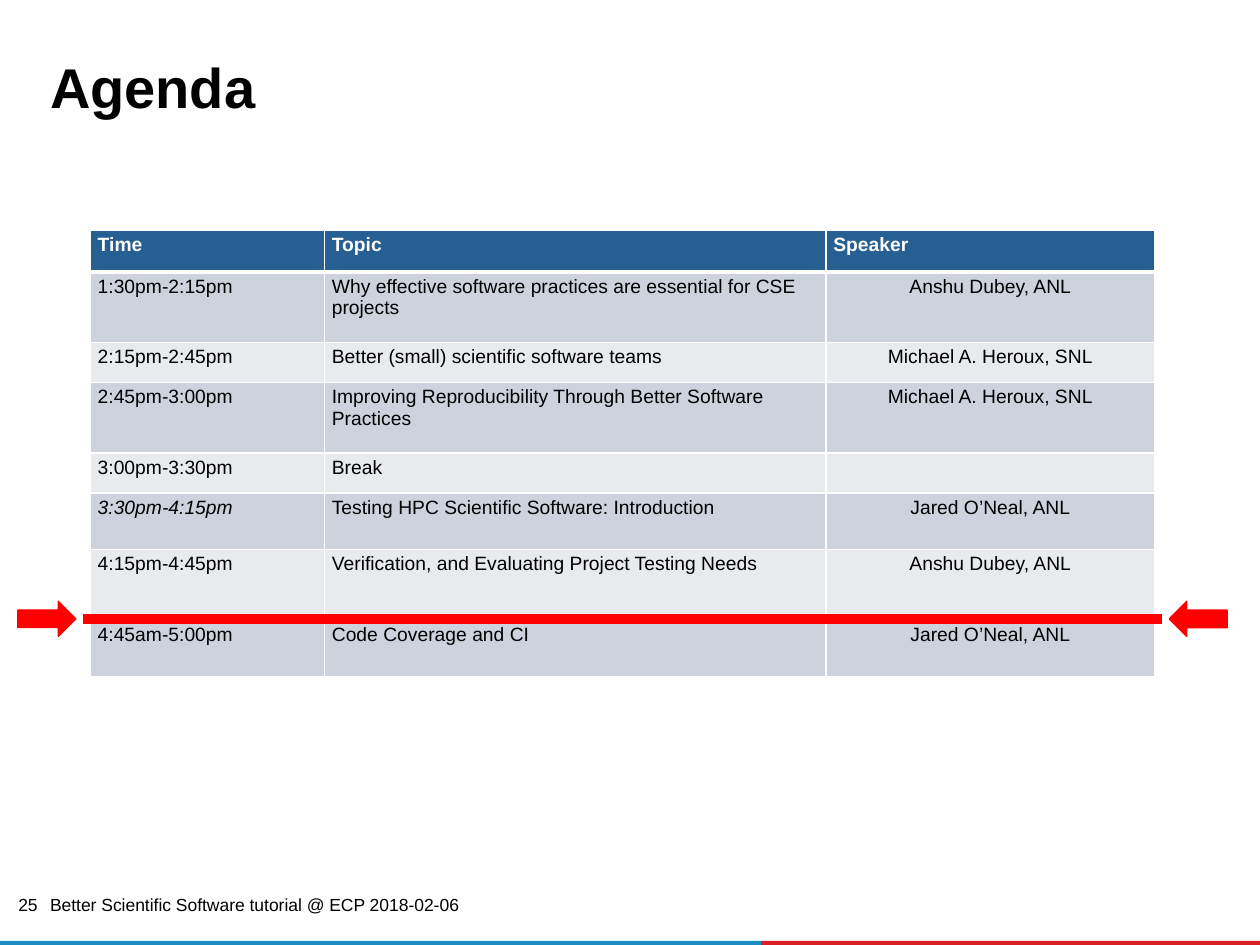
from dataclasses import dataclass

from lxml import etree
from pptx import Presentation
from pptx.dml.color import RGBColor
from pptx.enum.shapes import MSO_CONNECTOR, MSO_SHAPE
from pptx.enum.text import MSO_ANCHOR, PP_ALIGN
from pptx.oxml.ns import qn
from pptx.util import Cm, Pt

RECT, ARROW = MSO_SHAPE.RECTANGLE, MSO_SHAPE.RIGHT_ARROW
STRAIGHT = MSO_CONNECTOR.STRAIGHT
LEFT, CENTER, RIGHT = PP_ALIGN.LEFT, PP_ALIGN.CENTER, PP_ALIGN.RIGHT
TOP, MIDDLE = MSO_ANCHOR.TOP, MSO_ANCHOR.MIDDLE


@dataclass(frozen=True)
class Theme:
    font: str = "Arial"
    text: str = "000000"
    white: str = "FFFFFF"
    header: str = "266092"
    band_dark: str = "CDD2DC"
    band_light: str = "E8EAEE"
    marker: str = "FF0000"
    blue: str = "1B8DC3"
    red: str = "DA1F28"
    title_size: int = 32
    table_size: int = 11
    footer_size: int = 10


THEME = Theme()

HEADINGS = ("Time", "Topic", "Speaker")
SESSIONS = (
    ("1:30pm-2:15pm", "Why effective software practices are essential for CSE projects",
     "Anshu Dubey, ANL"),
    ("2:15pm-2:45pm", "Better (small) scientific software teams", "Michael A. Heroux, SNL"),
    ("2:45pm-3:00pm", "Improving Reproducibility Through Better Software Practices",
     "Michael A. Heroux, SNL"),
    ("3:00pm-3:30pm", "Break", ""),
    ("3:30pm-4:15pm", "Testing HPC Scientific Software: Introduction", "Jared O’Neal, ANL"),
    ("4:15pm-4:45pm", "Verification, and Evaluating Project Testing Needs", "Anshu Dubey, ANL"),
    ("4:45am-5:00pm", "Code Coverage and CI", "Jared O’Neal, ANL"),
)
ITALIC_TIME = "3:30pm-4:15pm"
COL_WIDTHS = (4.72, 10.11, 6.63)
ROW_HEIGHTS = (0.84, 1.42, 0.81, 1.42, 0.81, 1.14, 1.42, 1.14)


def rgb(color):
    return RGBColor.from_string(color)


def add_run(p, text, size, color=THEME.text, bold=False, italic=False):
    r = p.add_run()
    r.text = text
    r.font.name, r.font.size = THEME.font, Pt(size)
    r.font.bold, r.font.italic = bold, italic
    r.font.color.rgb = rgb(color)


def add_text(slide, box, text, size, bold=False, align=LEFT, anchor=TOP,
             spacing=None, inset=True):
    tf = slide.shapes.add_textbox(*map(Cm, box)).text_frame
    tf.word_wrap = True
    tf.vertical_anchor = anchor
    if not inset:
        tf.margin_left = tf.margin_right = tf.margin_top = tf.margin_bottom = 0
    p = tf.paragraphs[0]
    p.alignment = align
    if spacing:
        p.line_spacing = spacing
    add_run(p, text, size, bold=bold)


def add_block(slide, kind, box, color, line_width=None):
    sp = slide.shapes.add_shape(kind, *map(Cm, box))
    sp.shadow.inherit = False
    sp.fill.solid()
    sp.fill.fore_color.rgb = rgb(color)
    if line_width:
        sp.line.color.rgb = rgb(color)
        sp.line.width = Pt(line_width)
    else:
        sp.line.fill.background()
    return sp


def set_borders(cell, top=1, bottom=1):
    """Draw white cell borders; they must come before the fill."""
    widths = {"a:lnL": 1, "a:lnR": 1, "a:lnT": top, "a:lnB": bottom}
    tc_pr = cell._tc.get_or_add_tcPr()
    for i, (tag, width) in enumerate(widths.items()):
        ln = etree.Element(qn(tag), w=str(Pt(width)))
        fill = etree.SubElement(ln, qn("a:solidFill"))
        etree.SubElement(fill, qn("a:srgbClr"), val=THEME.white)
        tc_pr.insert(i, ln)


def add_footer(slide, left, top, width, height):
    # Two-colour strip along the bottom edge
    strip, split = 0.08, 15.34
    y = top + height - strip
    add_block(slide, RECT, (left + split, y, width - split, strip), THEME.red)
    add_block(slide, RECT, (left, y, split, strip), THEME.blue)
    # Event name and slide number
    add_text(slide, (left + 0.76, top, 8.94, 0.53),
             "Better Scientific Software tutorial @ ECP 2018-02-06",
             THEME.footer_size, anchor=MIDDLE)
    add_text(slide, (left + 0.33, top + 0.12, 0.43, 0.43), "25",
             THEME.footer_size, align=RIGHT, spacing=0.9, inset=False)


def add_agenda(slide, left, top):
    rows = (HEADINGS,) + SESSIONS
    frame = slide.shapes.add_table(len(rows), len(HEADINGS), Cm(left), Cm(top),
                                   Cm(sum(COL_WIDTHS)), Cm(sum(ROW_HEIGHTS)))
    table = frame.table
    for col, width in zip(table.columns, COL_WIDTHS):
        col.width = Cm(width)
    for i, (row, height, texts) in enumerate(zip(table.rows, ROW_HEIGHTS, rows)):
        row.height = Cm(height)
        is_head = i == 0
        band = THEME.band_dark if i % 2 else THEME.band_light
        for j, (cell, text) in enumerate(zip(row.cells, texts)):
            cell.margin_left = cell.margin_right = Cm(0.15)
            cell.margin_top = cell.margin_bottom = Cm(0.08)
            cell.fill.solid()
            cell.fill.fore_color.rgb = rgb(THEME.header if is_head else band)
            set_borders(cell, top=3 if i == 1 else 1, bottom=3 if is_head else 1)
            p = cell.text_frame.paragraphs[0]
            p.alignment = CENTER if j == 2 and not is_head else LEFT
            if text:
                add_run(p, text, THEME.table_size, THEME.white if is_head else THEME.text,
                        bold=is_head, italic=text == ITALIC_TIME)
            else:  # keep the empty cell from stretching its row
                etree.SubElement(p._p, qn("a:endParaRPr"), sz=str(THEME.table_size * 100))


def add_marker(slide, left, top, width, height):
    # Line across the table, with an arrow pointing in from each side
    arrow_w, gap = 1.17, 0.15
    y, inset = top + height / 2, arrow_w + gap
    line = slide.shapes.add_connector(STRAIGHT, Cm(left + inset), Cm(y),
                                      Cm(left + width - inset), Cm(y))
    line.line.color.rgb = rgb(THEME.marker)
    line.line.width = Pt(6)
    etree.SubElement(line._element.spPr, qn("a:effectLst"))
    for x, angle in ((left, 0), (left + width - arrow_w, 180)):
        sp = add_block(slide, ARROW, (x, top, arrow_w, height), THEME.marker, 0.75)
        sp.rotation = angle


def main():
    prs = Presentation()
    prs.slide_width, prs.slide_height = Cm(25.4), Cm(19.05)
    slide = prs.slides.add_slide(prs.slide_layouts[6])
    add_footer(slide, 0, 17.96, 25.4, 1.09)
    add_text(slide, (0.76, 1.14, 23.7, 1.42), "Agenda", THEME.title_size,
             bold=True, spacing=0.85)
    add_agenda(slide, 1.82, 4.64)
    add_marker(slide, 0.36, 12.12, 24.38, 0.71)
    prs.save("out.pptx")


if __name__ == "__main__":
    main()
